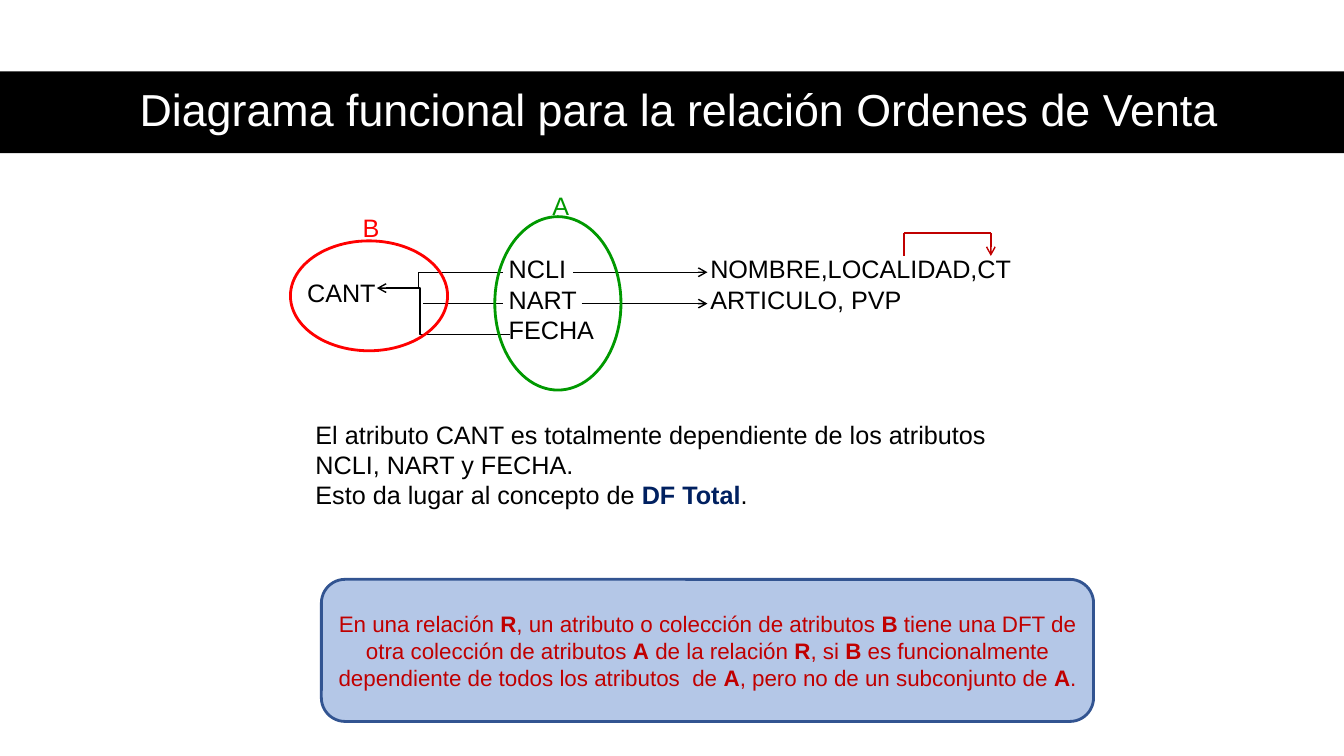
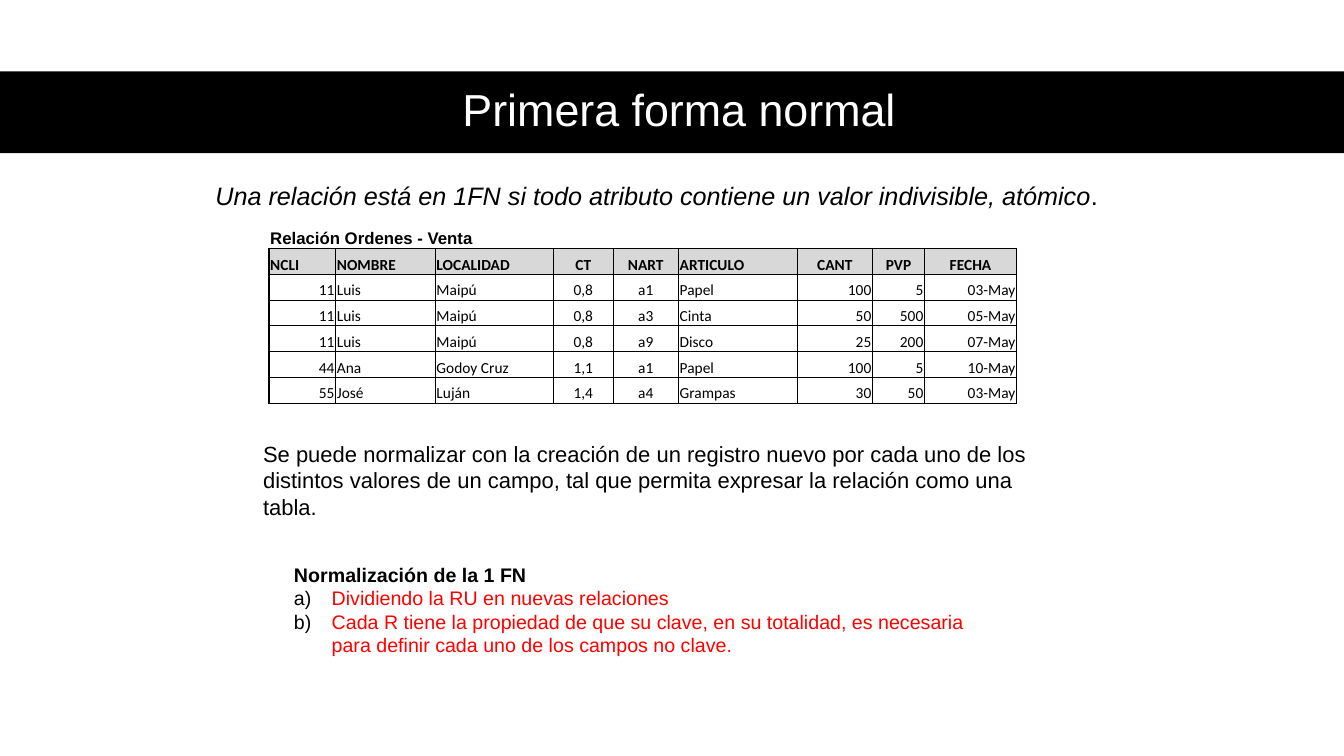
from lxml import etree
from pptx import Presentation
from pptx.dml.color import RGBColor
from pptx.enum import shapes, text
from pptx.oxml.ns import qn
from pptx.util import Cm, Pt

rgb = RGBColor.from_string
BLACK, WHITE, RED, GREEN = "000000", "FFFFFF", "FF0000", "009900"
WINE, NAVY, SKY, BLUE, GREY = "C00000", "002060", "B4C7E7", "325491", "D8D8D8"
SIDES = {"l": text.PP_ALIGN.LEFT, "c": text.PP_ALIGN.CENTER, "r": text.PP_ALIGN.RIGHT}


def write(frame, lines, size, tint, side="l", face="Arial"):
    frame.word_wrap = True
    for i, line in enumerate(lines):
        para = frame.paragraphs[0] if i == 0 else frame.add_paragraph()
        para.alignment = SIDES[side]
        for j, part in enumerate(line.split("*")):
            if part:
                run = para.add_run()
                run.text = part
                run.font.name = face
                run.font.size = Pt(size)
                run.font.bold = j % 2 == 1
                run.font.color.rgb = rgb(tint)


def link(page, kind, ends, tint, arrow=False):
    line = page.shapes.add_connector(kind, *[Cm(v) for v in ends])
    line.line.width = Pt(1)
    line.line.color.rgb = rgb(tint)
    if arrow:
        etree.SubElement(line.line._ln, qn("a:tailEnd"), type="arrow")
    etree.SubElement(line._element.spPr, qn("a:effectLst"))
    return line


deck = Presentation()
deck.slide_width, deck.slide_height = Cm(33.87), Cm(19.05)

pages = []
for name in ("Diagrama funcional para la relación Ordenes de Venta", "Primera forma normal"):
    page = deck.slides.add_slide(deck.slide_layouts[5])
    band = page.shapes.add_shape(shapes.MSO_SHAPE.RECTANGLE, 0, Cm(1.8), deck.slide_width, Cm(2.06))
    band.shadow.inherit = False
    band.fill.solid()
    band.fill.fore_color.rgb = rgb(BLACK)
    band.line.fill.background()
    title = page.shapes.title
    title.left, title.top, title.width, title.height = Cm(1.55), Cm(1.78), Cm(31.14), Cm(2.06)
    band._element.addnext(title._element)
    write(title.text_frame, [name], 32, WHITE, "c")
    title.text_frame.vertical_anchor = text.MSO_ANCHOR.MIDDLE
    title.text_frame.paragraphs[0].line_spacing = 0.9
    title.text_frame.paragraphs[0].space_after = Pt(6)
    pages.append(page)
graph, normal = pages

notes = [
    (graph, 7.49, 6.27, 18.85, 2.57, 18, BLACK,
     ["\t\tNCLI\t\tNOMBRE,LOCALIDAD,CT", "\t\tNART\t\tARTICULO, PVP", "\t\tFECHA"]),
    (graph, 7.49, 6.86, 3.76, 1.02, 18, BLACK, ["CANT"]),
    (graph, 13.67, 4.67, 1, 1.02, 18, GREEN, ["A"]),
    (graph, 8.89, 5.23, 1, 1.02, 18, RED, ["B"]),
    (graph, 7.7, 10.44, 18.26, 2.57, 18, BLACK,
     ["El atributo CANT es totalmente dependiente de los atributos NCLI, NART y FECHA.",
      "Esto da lugar al concepto de *DF Total*."]),
    (normal, 5.18, 4.42, 23.83, 1.02, 18, BLACK,
     ["*Una relación está en 1FN si todo atributo contiene un valor indivisible, atómico*."]),
    (normal, 6.38, 10.97, 20.83, 2.26, 15.7, BLACK,
     ["Se puede normalizar con la creación de un registro nuevo por cada uno de los distintos "
      "valores de un campo, tal que permita expresar la relación como una tabla."]),
    (normal, 7.16, 14.05, 18.47, 3.33, 14, BLACK,
     ["*Normalización de la 1 FN*", "Dividiendo la RU en nuevas relaciones",
      "Cada R tiene la propiedad de que su clave, en su totalidad, es necesaria "
      "para definir cada uno de los campos no clave."]),
]
frames = []
for page, x, y, w, h, size, tint, lines in notes:
    frame = page.shapes.add_textbox(Cm(x), Cm(y), Cm(w), Cm(h)).text_frame
    write(frame, lines, size, tint)
    frames.append(frame)

for para in frames[0].paragraphs:
    stops = etree.SubElement(para._p.get_or_add_pPr(), qn("a:tabLst"))
    for n in range(1, 5):
        etree.SubElement(stops, qn("a:tab"), pos=str(Cm(2.54 * n)), algn="l")
frames[4].paragraphs[1].runs[1].font.color.rgb = rgb(NAVY)
rule = frames[5].paragraphs[0].runs[0].font
rule.bold, rule.italic = False, True
for para in frames[7].paragraphs[1:]:
    para.runs[0].font.color.rgb = rgb(RED)
    props = para._p.get_or_add_pPr()
    props.set("marL", str(Cm(0.95)))
    props.set("indent", str(-Cm(0.95)))
    etree.SubElement(etree.SubElement(props, qn("a:buClr")), qn("a:srgbClr"), val=BLACK)
    etree.SubElement(props, qn("a:buAutoNum"), type="alphaLcParenR")

bends = [
    ((12.67, 6.86, 9.5, 7.26), 66700, True),
    ((12.85, 8.43, 10.49, 7.26), 95900, False),
]
for ends, turn, arrow in bends:
    bend = link(graph, shapes.MSO_CONNECTOR.ELBOW, ends, BLACK, arrow)
    guides = bend._element.spPr.find(qn("a:prstGeom")).find(qn("a:avLst"))
    etree.SubElement(guides, qn("a:gd"), name="adj1", fmla=f"val {turn}")

lines = [
    ((12.67, 7.65, 10.67, 7.65), BLACK, False),
    ((14.45, 6.86, 17.83, 6.86), BLACK, True),
    ((14.66, 7.65, 17.83, 7.65), BLACK, True),
    ((22.78, 5.87, 22.78, 6.45), WINE, False),
    ((22.78, 5.87, 24.97, 5.87), WINE, False),
    ((24.97, 5.87, 24.97, 6.45), WINE, True),
]
for ends, tint, arrow in lines:
    link(graph, shapes.MSO_CONNECTOR.STRAIGHT, ends, tint, arrow)

forms = [
    (shapes.MSO_SHAPE.OVAL, 12.47, 5.46, 3.18, 4.37, GREEN, None),
    (shapes.MSO_SHAPE.OVAL, 7.32, 6.07, 3.96, 2.77, RED, None),
    (shapes.MSO_SHAPE.ROUNDED_RECTANGLE, 8.1, 14.6, 19.46, 3.58, BLUE, SKY),
]
for kind, x, y, w, h, edge, fill in forms:
    form = graph.shapes.add_shape(kind, Cm(x), Cm(y), Cm(w), Cm(h))
    form.shadow.inherit = False
    form.line.color.rgb = rgb(edge)
    form.line.width = Pt(2)
    if fill:
        form.fill.solid()
        form.fill.fore_color.rgb = rgb(fill)
        form.text_frame.vertical_anchor = text.MSO_ANCHOR.MIDDLE
        write(form.text_frame, [
            "En una relación *R*, un atributo o colección de atributos *B* tiene una DFT de otra "
            "colección de atributos *A* de la relación *R*, si *B* es funcionalmente dependiente de "
            "todos los atributos  de *A*, pero no de un subconjunto de *A*."], 16, WINE, "c")
    else:
        form.fill.background()

rows = [
    ["Relación Ordenes - Venta"] + [""] * 8,
    ["NCLI", "NOMBRE", "LOCALIDAD", "CT", "NART", "ARTICULO", "CANT", "PVP", "FECHA"],
    ["11", "Luis", "Maipú", "0,8", "a1", "Papel", "100", "5", "03-May"],
    ["11", "Luis", "Maipú", "0,8", "a3", "Cinta", "50", "500", "05-May"],
    ["11", "Luis", "Maipú", "0,8", "a9", "Disco", "25", "200", "07-May"],
    ["44", "Ana", "Godoy Cruz", "1,1", "a1", "Papel", "100", "5", "10-May"],
    ["55", "José", "Luján", "1,4", "a4", "Grampas", "30", "50", "03-May"],
]
wide = [1.68, 2.51, 2.98, 1.5, 1.65, 2.99, 1.9, 1.31, 2.32]
high = 0.65
last, end = len(rows) - 1, len(wide) - 1
grid = normal.shapes.add_table(len(rows), len(wide), Cm(6.78), Cm(5.61),
                               Cm(sum(wide)), Cm(high * len(rows))).table
grid.first_row = grid.horz_banding = False
grid._tbl.tblPr.find(qn("a:tableStyleId")).text = "{2D5ABB26-0587-4C30-8999-92F81FD0307C}"
for col, w in zip(grid.columns, wide):
    col.width = Cm(w)
for r, row in enumerate(rows):
    grid.rows[r].height = Cm(high)
    for c, value in enumerate(row):
        cell = grid.cell(r, c)
        cell.margin_left = cell.margin_right = cell.margin_top = Cm(0.03)
        cell.margin_bottom = 0
        cell.vertical_anchor = text.MSO_ANCHOR.BOTTOM
        if r == 0:
            write(cell.text_frame, [f"*{value}*"], 12, BLACK)
            if not value:
                etree.SubElement(cell.text_frame.paragraphs[0]._p, qn("a:endParaRPr"), sz="1200")
            edges = {"lnB": True}
        else:
            head = r == 1
            side = ("lllcclccc" if head else "rllcclrrr")[c]
            write(cell.text_frame, [f"*{value}*" if head else value], 11, BLACK, side, "Calibri")
            edges = {"lnL": c == 0, "lnR": c == end, "lnT": r < 3, "lnB": head or r == last}
        for edge, bold in edges.items():
            line = etree.SubElement(cell._tc.get_or_add_tcPr(), qn(f"a:{edge}"),
                                    w=str(Pt(1 if bold else 0.5)))
            etree.SubElement(etree.SubElement(line, qn("a:solidFill")), qn("a:srgbClr"), val=BLACK)
        if r == 1:
            cell.fill.solid()
            cell.fill.fore_color.rgb = rgb(GREY)
        else:
            cell.fill.background()
grid.cell(0, 0).merge(grid.cell(0, 2))

deck.save("out.pptx")
